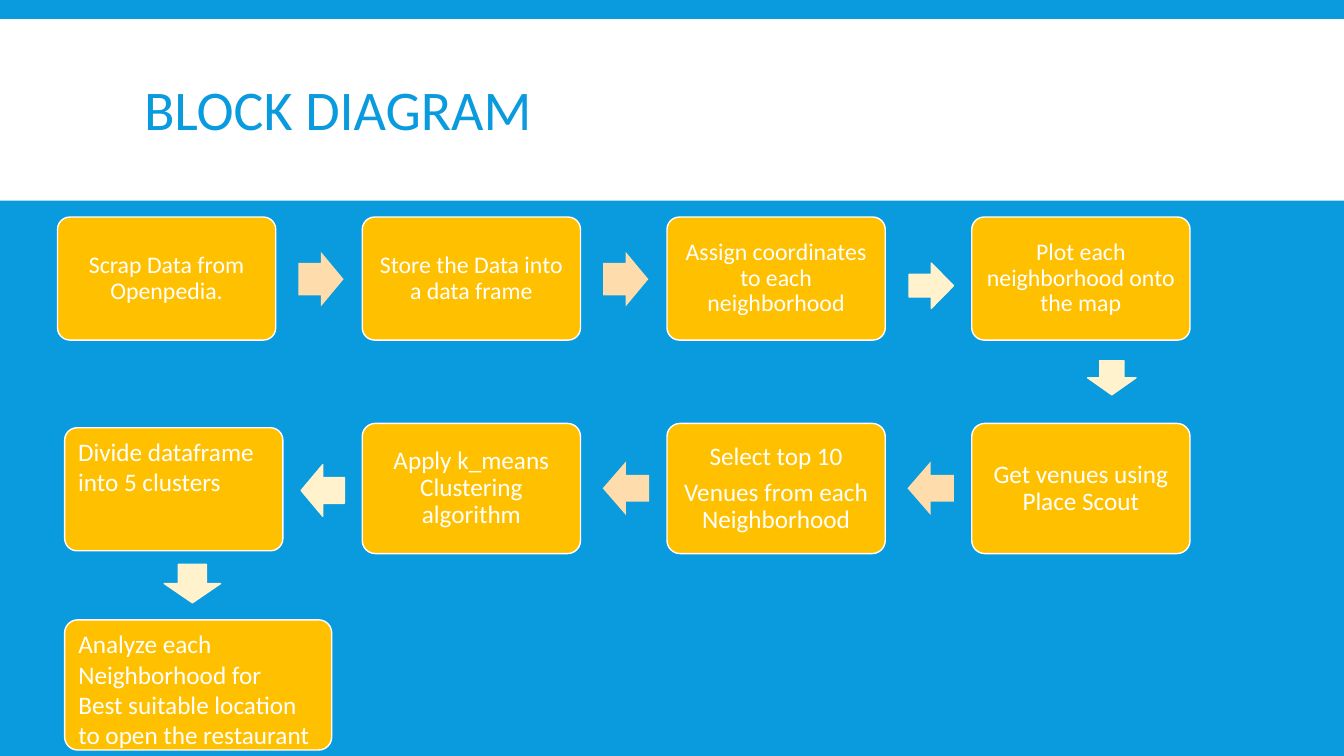
import dataclasses

import pptx
import pptx.dml.color
import pptx.enum.shapes
import pptx.enum.text
import pptx.util

Cm = pptx.util.Cm
Pt = pptx.util.Pt
Shape = pptx.enum.shapes.MSO_SHAPE
Align = pptx.enum.text.PP_ALIGN
Anchor = pptx.enum.text.MSO_ANCHOR


@dataclasses.dataclass(frozen=True)
class Theme:
    blue: str = "099BDD"
    white: str = "FFFFFF"
    amber: str = "FFC000"
    peach: str = "FFDCAB"
    cream: str = "FFF2CC"
    font: str = "Calibri"
    title_size: int = 40
    first_row_size: int = 17
    step_size: int = 18


THEME = Theme()
LEFT = 1.45
PITCH = 7.68
STEP_WIDTH = 5.5


def rgb(value):
    return pptx.dml.color.RGBColor.from_string(value)


def write(frame, text, *, size, color=THEME.white, align=Align.LEFT,
          anchor=Anchor.TOP, spacing=1.0, gap=0):
    frame.word_wrap = True
    frame.vertical_anchor = anchor
    lines = text.split("\n")
    for index, line in enumerate(lines):
        paragraph = frame.paragraphs[0] if index == 0 else frame.add_paragraph()
        paragraph.text = line
        paragraph.alignment = align
        paragraph.line_spacing = spacing
        paragraph.space_before = Pt(gap if index else 0)
        paragraph.font.name = THEME.font
        paragraph.font.size = Pt(size)
        paragraph.font.color.rgb = rgb(color)


def add_block(slide, kind, bounds, fill, line=None):
    block = slide.shapes.add_shape(kind, *(Cm(length) for length in bounds))
    block.shadow.inherit = False
    block.fill.solid()
    block.fill.fore_color.rgb = rgb(fill)
    if line:
        block.line.color.rgb = rgb(line)
        block.line.width = Pt(1)
    else:
        block.line.fill.background()
    return block


def add_step(slide, bounds, text, **text_format):
    step = add_block(slide, Shape.ROUNDED_RECTANGLE, bounds, THEME.amber, THEME.white)
    step.adjustments[0] = 0.1
    write(step.text_frame, text, **text_format)
    return step


def add_centred_step(slide, bounds, text, size):
    step = add_step(slide, bounds, text, size=size, align=Align.CENTER,
                    anchor=Anchor.MIDDLE, spacing=0.9, gap=6.3)
    frame = step.text_frame
    frame.margin_left = frame.margin_right = Cm(0.18)
    frame.margin_top = frame.margin_bottom = Cm(0.18)


def add_header(slide):
    add_block(slide, Shape.RECTANGLE, (0, 0.48, 33.87, 4.58), THEME.white)
    title = slide.shapes.add_textbox(Cm(3.38), Cm(0.76), Cm(27.18), Cm(4.19))
    write(title.text_frame, "BLOCK DIAGRAM", size=THEME.title_size,
          color=THEME.blue, anchor=Anchor.MIDDLE, spacing=0.85)


def add_steps(slide):
    collecting = (
        "Scrap Data from Openpedia.",
        "Store the Data into a data frame",
        "Assign coordinates to each neighborhood",
        "Plot each neighborhood onto the map",
    )
    clustering = (
        "Apply k_means Clustering algorithm",
        "Select top 10\nVenues from each Neighborhood",
        "Get venues using Place Scout",
    )
    for column, text in enumerate(collecting):
        add_centred_step(slide, (LEFT + column * PITCH, 5.47, STEP_WIDTH, 3.1),
                         text, THEME.first_row_size)
    for column, text in enumerate(clustering, start=1):
        add_centred_step(slide, (LEFT + column * PITCH, 10.67, STEP_WIDTH, 3.28),
                         text, THEME.step_size)
    add_step(slide, (1.63, 10.78, STEP_WIDTH, 3.1),
             "Divide dataframe into 5 clusters", size=THEME.step_size)
    add_step(slide, (1.63, 15.62, 6.73, 3.28),
             "Analyze each Neighborhood for\n"
             "Best suitable location to open the restaurant",
             size=THEME.step_size)


def add_arrows(slide):
    for column in range(2):
        offset = column * PITCH
        forward = add_block(slide, Shape.RIGHT_ARROW,
                            (7.52 + offset, 6.35, 1.14, 1.37), THEME.peach)
        forward.adjustments[0] = 0.6
        add_block(slide, Shape.LEFT_ARROW,
                  (15.19 + offset, 11.63, 1.17, 1.35), THEME.peach)
    for direction, bounds in (
        (Shape.RIGHT_ARROW, (22.91, 6.63, 1.12, 1.14)),
        (Shape.DOWN_ARROW, (27.41, 9.09, 1.22, 0.86)),
        (Shape.LEFT_ARROW, (7.59, 11.71, 1.09, 1.3)),
        (Shape.DOWN_ARROW, (4.14, 14.22, 1.42, 0.97)),
    ):
        add_block(slide, direction, bounds, THEME.cream, THEME.cream)


def main():
    deck = pptx.Presentation()
    deck.slide_width = Cm(33.87)
    deck.slide_height = Cm(19.05)
    slide = deck.slides.add_slide(deck.slide_layouts[6])
    slide.background.fill.solid()
    slide.background.fill.fore_color.rgb = rgb(THEME.blue)
    add_header(slide)
    add_steps(slide)
    add_arrows(slide)
    deck.save("out.pptx")


if __name__ == "__main__":
    main()
